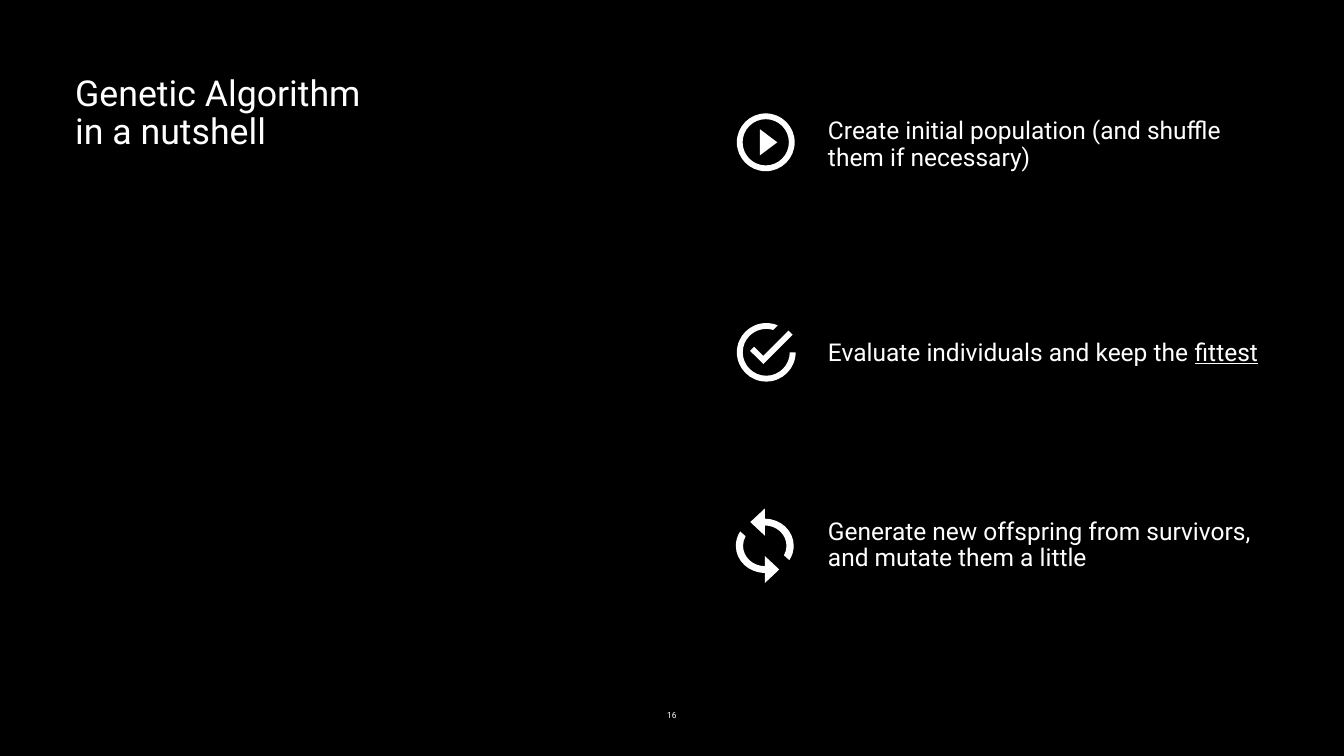
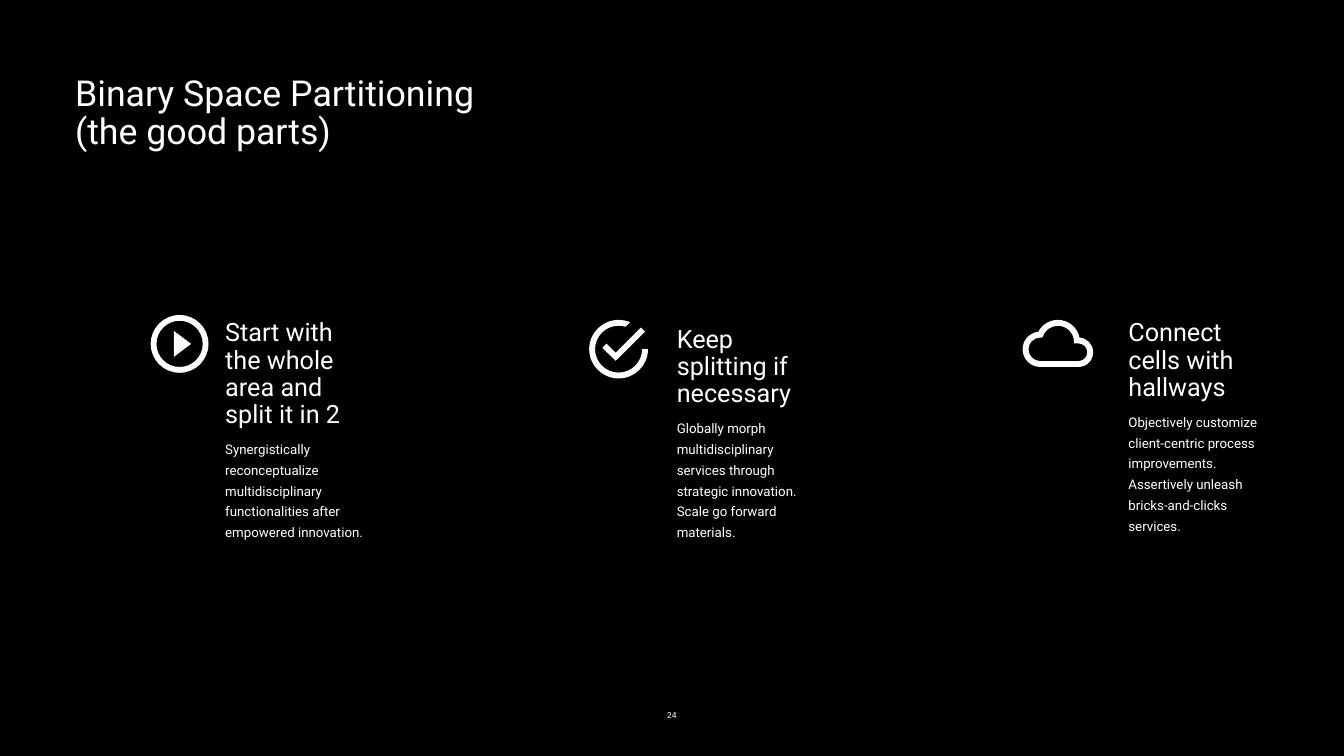
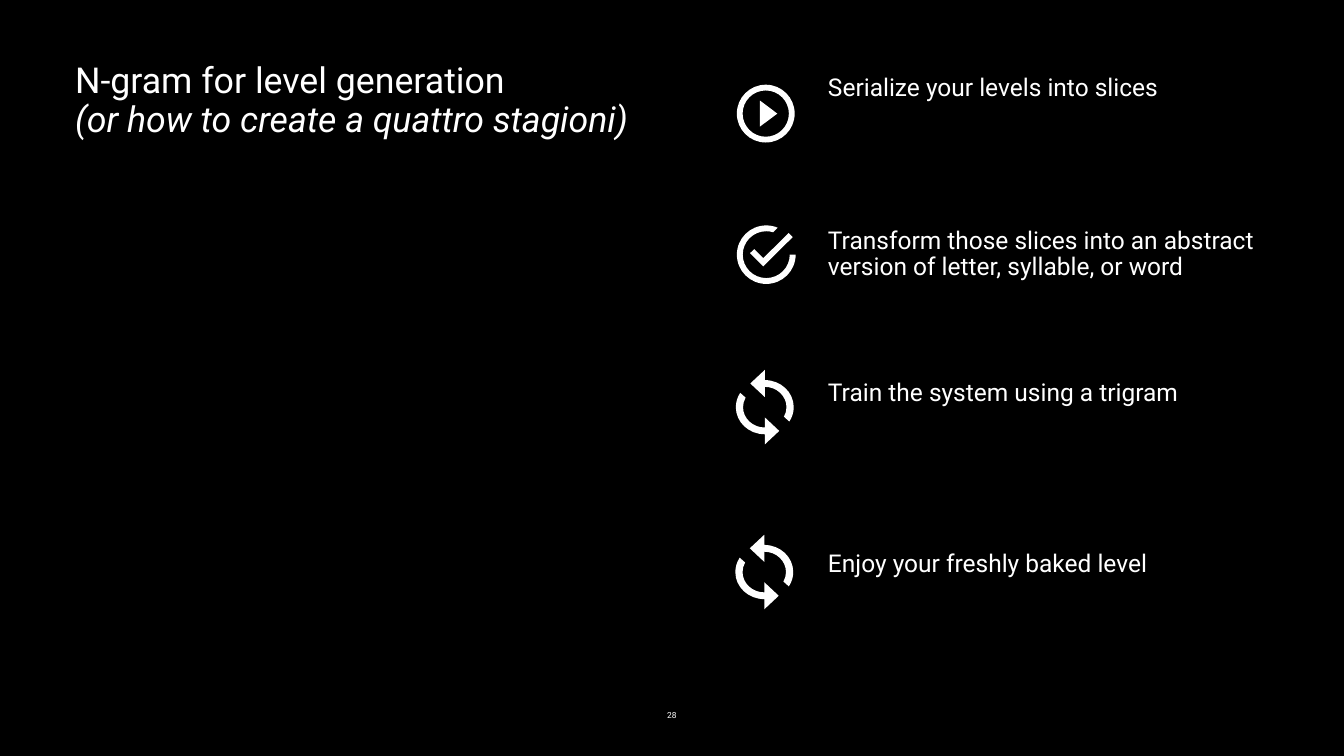
"""Build three slides on procedural level generation: genetic algorithm, space partitioning, n-grams."""
import math

import pptx
import pptx.dml.color
import pptx.enum.text
import pptx.oxml.ns
import pptx.util

Pt = pptx.util.Pt
colour = pptx.dml.color.RGBColor.from_string
BLACK, WHITE = "000000", "FFFFFF"
FONT = "Roboto"


def arc(x, y, radius, start, end):
    """Return an arc's first point and its Bézier curves, split at each quarter turn."""
    turn = 1 if end > start else -1
    low, high = sorted((start, end))
    quarters = [a for a in range(-360, 361, 90) if low < a < high]
    stops = [math.radians(a) for a in [start, *quarters[::turn], end]]
    items = [[(x + radius * math.cos(stops[0]), y + radius * math.sin(stops[0]))]]
    for a, b in zip(stops, stops[1:]):
        pull = 4 / 3 * math.tan((b - a) / 4)
        unit = [(math.cos(a) - pull * math.sin(a), math.sin(a) + pull * math.cos(a)),
                (math.cos(b) + pull * math.sin(b), math.sin(b) - pull * math.cos(b)),
                (math.cos(b), math.sin(b))]
        items.append([(x + radius * u, y + radius * v) for u, v in unit])
    return items


def write(box, place, lines, margin=7.2, align=pptx.enum.text.PP_ALIGN.LEFT):
    """Place a box and fill it with (text, size, line spacing, space before) lines."""
    box.left, box.top, box.width, box.height = [Pt(n) for n in place]
    frame = box.text_frame
    frame.word_wrap = True
    frame.auto_size = pptx.enum.text.MSO_AUTO_SIZE.NONE
    frame.vertical_anchor = pptx.enum.text.MSO_ANCHOR.TOP
    frame.margin_left = frame.margin_right = Pt(margin)
    frame.margin_top = frame.margin_bottom = Pt(margin)
    for i, (text, size, spacing, before) in enumerate(lines):
        paragraph = frame.add_paragraph() if i else frame.paragraphs[0]
        paragraph.add_run().text = text
        paragraph.alignment = align
        paragraph.line_spacing = spacing
        paragraph.space_before = Pt(before)
        paragraph.font.name = FONT
        paragraph.font.size = Pt(size)
        paragraph.font.color.rgb = colour(WHITE)
    return frame


play_triangle = [[(10, 16.5)], [(16, 12)], [(10, 7.5)]]
check_tick = [[(7.9, 10.1)], [(6.5, 11.5)], [(11, 16)], [(21, 6)], [(19.6, 4.6)], [(11, 13.2)]]
sync_arrow = ([[(12, 4)], [(12, 1)], [(8, 5)], [(12, 9)]] + arc(12, 12, 6, -90, 28)
              + arc(12, 12, 8, 32, -90))
sync_return = [[(24 - x, 24 - y) for x, y in item] for item in sync_arrow]
cloud_rim = arc(12, 11.5, 7.5, -11, -152) + arc(6, 14, 6, -96, -270) + arc(19, 15, 5, 90, -86)
cloud_hole = (arc(6, 14, 4, 90, 270) + arc(12, 11.5, 5.5, 196, 360) + [[(17.5, 12)]]
              + arc(19, 15, 3, -90, 90))
ICONS = {
    "play": (4.13, 4.13, [play_triangle, arc(12, 12, 10, -90, 270), arc(12, 12, 8, 270, -90)]),
    "check": (4.2, 4.18, [check_tick, arc(12, 12, 8, 0, 287) + arc(12, 12, 10, 293, 0)]),
    "sync": (5.17, 4.84, [sync_arrow, sync_return]),
    "cloud": (4.2, 4.2, [cloud_rim, cloud_hole]),
}

STEP_LEFT, STEP_WIDTH, STEP_SIZE = 1175.76, 644.4, 35
COLUMN_LEFT, COLUMN_STEP = 314.64, 645.12
ICON_LEFT, SYNC_LEFT = 1052.64, 1051.2
MARGIN = 100.08

steps = [
    (162, 207.36, "Create initial population (and shuffle them if necessary)"),
    (478.8, 174.24, "Evaluate individuals and keep the "),
    (734.4, 213.84, "Generate new offspring from survivors, and mutate them a little"),
]
columns = [
    (450, "Start with the whole area and split it in 2",
     "Synergistically reconceptualize multidisciplinary functionalities after empowered innovation."),
    (459.2, "Keep splitting if necessary",
     "Globally morph multidisciplinary services through strategic innovation. "
     "Scale go forward materials."),
    (450, "Connect cells with hallways",
     "Objectively customize client-centric process improvements. "
     "Assertively unleash bricks-and-clicks services."),
]
stages = [
    (MARGIN, 207.36, "Serialize your levels into slices"),
    (318.4, 174.24, "Transform those slices into an abstract version of letter, syllable, or word"),
    (536.4, 213.84, "Train the system using a trigram"),
    (780.48, 213.84, "Enjoy your freshly baked level"),
]
step_boxes, stage_boxes = [
    [((STEP_LEFT, top, STEP_WIDTH, height), [(text, STEP_SIZE, 0.9, 0)])
     for top, height, text in rows] for rows in (steps, stages)]
column_boxes = [
    ((COLUMN_LEFT + i * COLUMN_STEP, top, 214.56, 480.24),
     [(heading, 36, 0.9, 0), (detail, 19, 1.3, 11)])
    for i, (top, heading, detail) in enumerate(columns)]

SLIDES = [
    ("16", ["Genetic Algorithm", "in a nutshell"], (MARGIN, 100.3, 644.4, 430.56), step_boxes,
     [("check", ICON_LEFT, 461.5), ("play", ICON_LEFT, 162), ("sync", SYNC_LEFT, 726.5)]),
    ("24", ["Binary Space Partitioning", "(the good parts)"], (MARGIN, 100.3, 644.4, 207.36),
     column_boxes,
     [("check", 841.68, 457), ("cloud", 1460.88, 457), ("play", 215.28, 450)]),
    ("28", ["N-gram for level generation", "(or how to create a quattro stagioni)"],
     (MARGIN, 82.3, 860.4, 570.96), stage_boxes,
     [("check", ICON_LEFT, 322), ("play", ICON_LEFT, 121), ("sync", SYNC_LEFT, 528.5),
      ("sync", 1050.48, 764)]),
]

deck = pptx.Presentation()
deck.slide_width, deck.slide_height = Pt(1920), Pt(1080)
backdrop = deck.slide_master.background.fill
backdrop.solid()
backdrop.fore_color.rgb = colour(BLACK)

for number, title, title_place, boxes, icons in SLIDES:
    slide = deck.slides.add_slide(deck.slide_layouts[5])
    heading = write(slide.shapes.title, title_place, [(line, 51, 0.9, 0) for line in title])
    if number == "28":
        heading.paragraphs[1].runs[0].font.italic = True

    for place, lines in boxes:
        frame = write(slide.shapes.add_textbox(0, 0, 0, 0), place, lines)
        if lines[0][0].endswith("keep the "):
            fittest = frame.paragraphs[0].add_run()
            fittest.text = "fittest"
            fittest.font.underline = True

    for kind, left, top in icons:
        unit_x, unit_y, outlines = ICONS[kind]
        corners = [point for outline in outlines for item in outline for point in item]
        min_x = min(x for x, _ in corners)
        min_y = min(y for _, y in corners)
        builder = slide.shapes.build_freeform()
        for outline in outlines:
            points = [(Pt(left + (x - min_x) * unit_x), Pt(top + (y - min_y) * unit_y))
                      for item in outline for x, y in item]
            if outline is outlines[0]:
                builder = slide.shapes.build_freeform(*points[0])
            else:
                builder.move_to(*points[0])
            builder.add_line_segments(points[1:], close=True)
        icon = builder.convert_to_shape()
        icon.shadow.inherit = False
        icon.fill.solid()
        icon.fill.fore_color.rgb = colour(WHITE)
        icon.line.fill.background()

        segments = iter(list(icon.element.iter(pptx.oxml.ns.qn("a:lnTo"))))
        for item in [item for outline in outlines for item in outline[1:]]:
            segment = next(segments)
            if len(item) == 3:
                segment.tag = pptx.oxml.ns.qn("a:cubicBezTo")
                for follower in (next(segments), next(segments)):
                    segment.append(follower[0])
                    follower.getparent().remove(follower)

    write(slide.shapes.add_textbox(0, 0, 0, 0), (902.3, 997.2, 115.2, 82.8),
          [(number, 12, 1.0, 0)], 17.28, pptx.enum.text.PP_ALIGN.CENTER)

deck.save("out.pptx")
